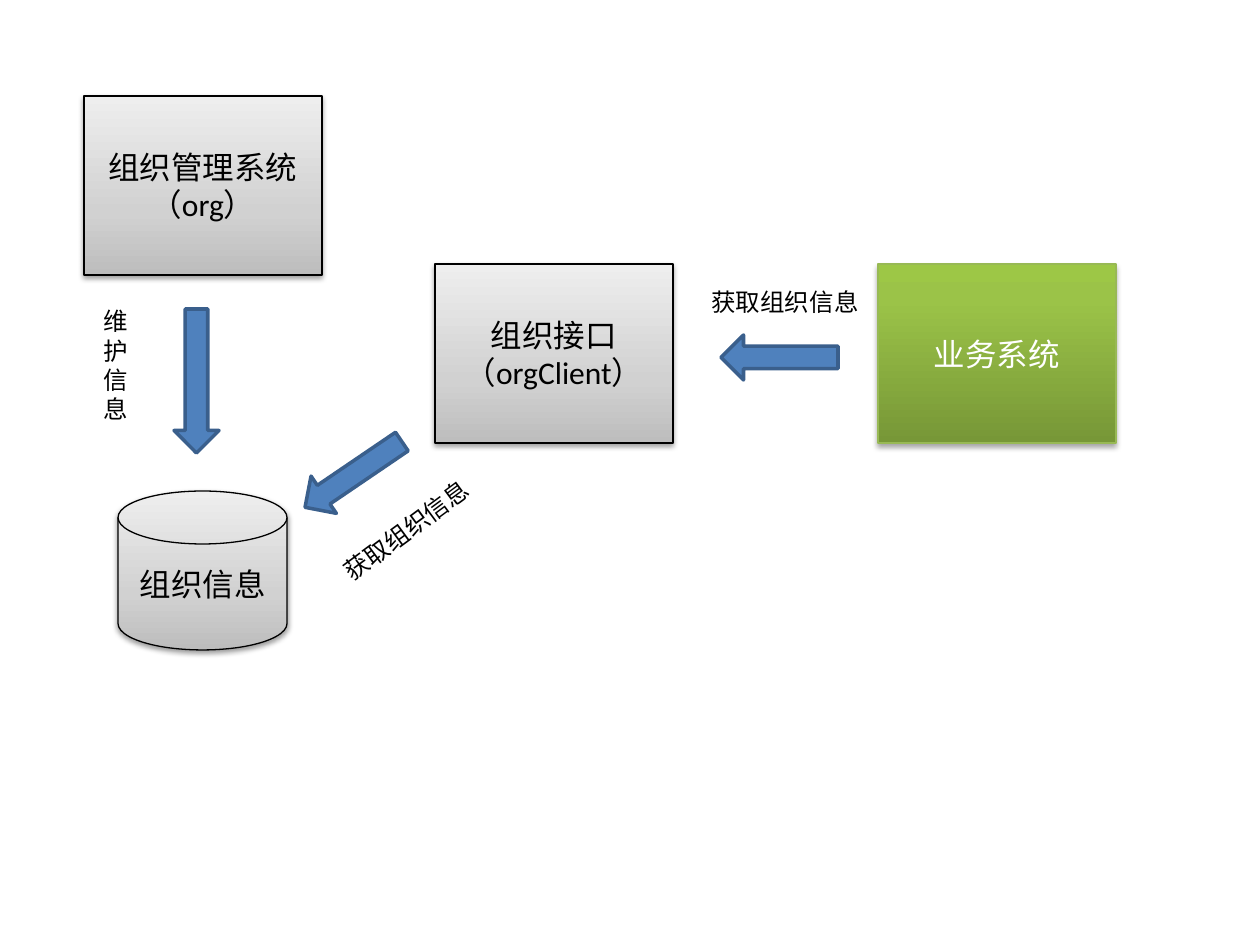
from copy import deepcopy

from lxml.etree import SubElement
from pptx import Presentation
from pptx.dml.color import RGBColor
from pptx.enum.shapes import MSO_SHAPE as Preset
from pptx.enum.text import MSO_ANCHOR as Anchor, MSO_AUTO_SIZE as AutoSize, PP_ALIGN as Align
from pptx.oxml.ns import qn
from pptx.util import Emu, Pt

PIXEL = 914400 // 126
NODE_SIZE = (238, 179)
ARROW_WIDTH = 45
GREY = dict(stops=[(0, "BDBDBD"), (0.35, "D1D1D1"), (1, "EEEEEE")],
            outline="000000", ink="000000", shade=38, drop=1.6)
GREEN = dict(stops=[(0, "779737"), (0.8, "9BC348"), (1, "9DC746")],
             outline="98B955", ink="FFFFFF", shade=35, drop=1.8)


def px(*lengths):
    return [Emu(length * PIXEL) for length in lengths]


def color(value):
    return RGBColor.from_string(value)


def write(shape, text, size=18, ink="000000", align=Align.LEFT, anchor=Anchor.TOP):
    frame = shape.text_frame
    frame.word_wrap = True
    frame.vertical_anchor = anchor
    paragraph = frame.paragraphs[0]
    paragraph.alignment = align
    run = paragraph.add_run()
    run.text = text
    run.font.size = Pt(size)
    run.font.name = "Calibri"
    run.font.color.rgb = color(ink)


def outline(shape, value, width):
    shape.line.color.rgb = color(value)
    shape.line.width = Pt(width)


def fill_gradient(shape, stops):
    shape.fill.gradient()
    shape.fill.gradient_angle = 90
    stop_list = shape.fill._xPr.find(qn("a:gradFill")).find(qn("a:gsLst"))
    stop_list.append(deepcopy(stop_list[0]))
    for stop, (position, value) in zip(shape.fill.gradient_stops, stops):
        stop.position = position
        stop.color.rgb = color(value)


def cast_shadow(shape, shade, drop):
    shape.shadow.inherit = False
    effects = shape._element.spPr.find(qn("a:effectLst"))
    shadow = SubElement(effects, qn("a:outerShdw"), blurRad=str(Pt(3.1)),
                        dist=str(Pt(drop)), dir="5400000", rotWithShape="0")
    black = SubElement(shadow, qn("a:srgbClr"), val="000000")
    SubElement(black, qn("a:alpha"), val=str(shade * 1000))


def add_node(slide, text, box, style, preset=Preset.RECTANGLE):
    node = slide.shapes.add_shape(preset, *px(*box))
    fill_gradient(node, style["stops"])
    outline(node, style["outline"], 0.75)
    cast_shadow(node, style["shade"], style["drop"])
    write(node, text, ink=style["ink"], align=Align.CENTER, anchor=Anchor.MIDDLE)


def add_arrow(slide, left, top, length, rotation=0):
    arrow = slide.shapes.add_shape(Preset.DOWN_ARROW, *px(left, top, ARROW_WIDTH, length))
    arrow.rotation = rotation
    arrow.shadow.inherit = False
    arrow.fill.solid()
    arrow.fill.fore_color.rgb = color("4F81BD")
    outline(arrow, "3A5F8C", 2)


def add_label(slide, text, box, rotation=0):
    label = slide.shapes.add_textbox(*px(*box))
    label.rotation = rotation
    write(label, text, size=14)
    label.text_frame.auto_size = AutoSize.SHAPE_TO_FIT_TEXT


def build_organisation_slide(deck):
    slide = deck.slides.add_slide(deck.slide_layouts[6])
    add_node(slide, "组织信息", (118, 491, 169, 159), GREY, Preset.FLOWCHART_MAGNETIC_DISK)
    for text, left, top, style in [
        ("组织管理系统（org）", 84, 96, GREY),
        ("组织接口（orgClient）", 435, 264, GREY),
        ("业务系统", 878, 264, GREEN),
    ]:
        add_node(slide, text, (left, top, *NODE_SIZE), style)
    add_label(slide, "获取组织信息", (699, 281, 189, 43))
    add_label(slide, "维护信息", (91, 300, 35, 131))
    add_label(slide, "获取组织信息", (319, 504, 189, 43), rotation=323.6)
    add_arrow(slide, 174, 309, 144)
    add_arrow(slide, 331, 416, 117, rotation=55.8)
    add_arrow(slide, 757, 299, 117, rotation=90)


deck = Presentation()
deck.slide_width, deck.slide_height = px(1260, 945)
build_organisation_slide(deck)
deck.save("out.pptx")
